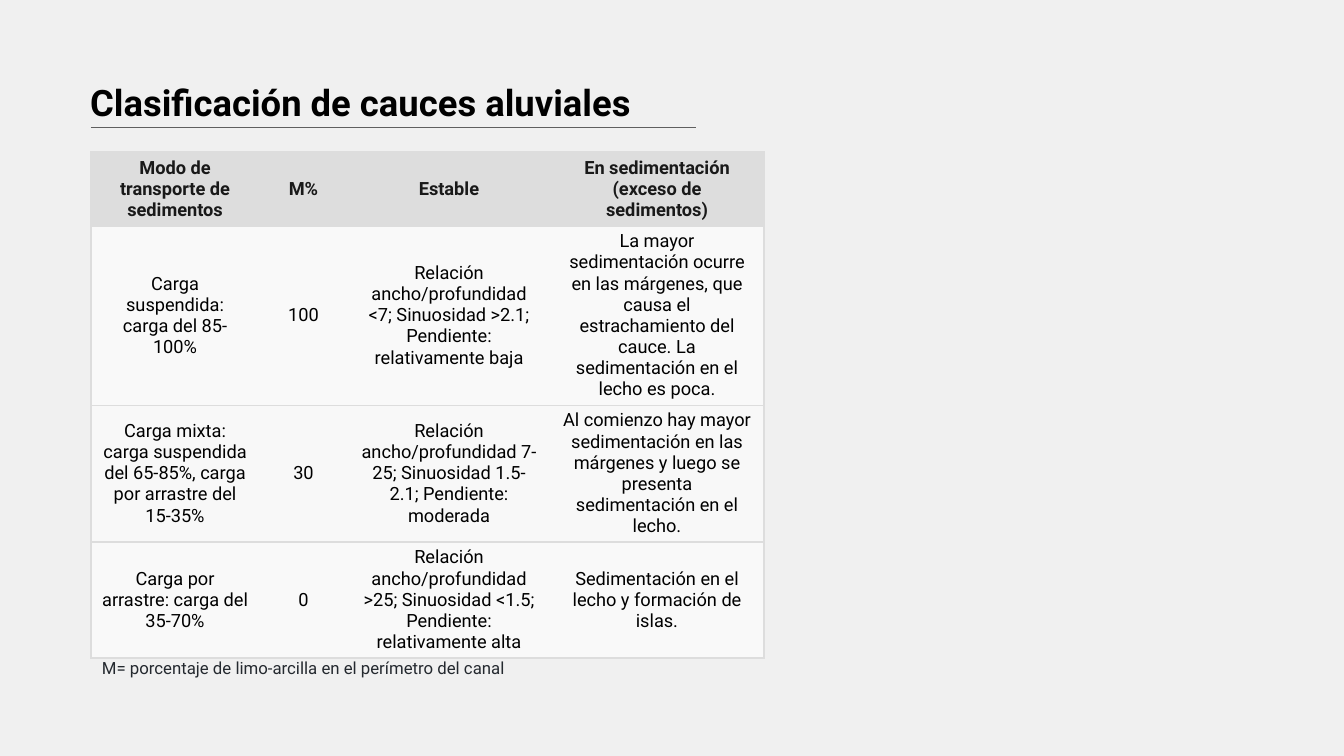
from lxml.etree import SubElement
from pptx import Presentation
from pptx.dml.color import RGBColor
from pptx.enum.shapes import MSO_CONNECTOR
from pptx.enum.text import MSO_ANCHOR, MSO_AUTO_SIZE, PP_ALIGN
from pptx.oxml.ns import qn
from pptx.util import Pt

TITLE = "Clasificación de cauces aluviales"
NOTE = "M= porcentaje de limo-arcilla en el perímetro del canal"
ROWS = [
    ("Modo de transporte de sedimentos", "M%", "Estable",
     "En sedimentación (exceso de sedimentos)"),
    ("Carga suspendida: carga del 85-100%", "100",
     "Relación ancho/profundidad <7; Sinuosidad >2.1; Pendiente: relativamente baja",
     "La mayor sedimentación ocurre en las márgenes, que causa el estrachamiento "
     "del cauce. La sedimentación en el lecho es poca."),
    ("Carga mixta: carga suspendida del 65-85%, carga por arrastre del 15-35%", "30",
     "Relación ancho/profundidad 7-25; Sinuosidad 1.5-2.1; Pendiente: moderada",
     "Al comienzo hay mayor sedimentación en las márgenes y luego se presenta "
     "sedimentación en el lecho."),
    ("Carga por arrastre: carga del 35-70%", "0",
     "Relación ancho/profundidad >25; Sinuosidad <1.5; Pendiente: relativamente alta",
     "Sedimentación en el lecho y formación de islas."),
]
WIDTHS = (168, 89, 202, 214)
HEIGHTS = (74, 167, 128, 116)
FILLS = ("head", "odd", "even", "odd")
COLORS = {"back": "F0F0F0", "title": "000000", "rule": "5F5F5F", "head": "DDDDDD",
          "odd": "F9F9F9", "even": "F8F8F8", "border": "DDDDDD",
          "label": "191919", "body": "000000", "note": "24292F"}
FONT = "Roboto"
LEFT = 91


def px(n):
    return round(n * 914400 / 100.8)


def rgb(name):
    return RGBColor.from_string(COLORS[name])


def style(par, size, color, bold=False):
    font = par.font
    font.name, font.size, font.bold = FONT, Pt(size), bold
    font.color.rgb = rgb(color)


def edge(cell, side, drawn):
    """Add one cell border, hidden unless drawn; call before the cell fill."""
    line = SubElement(cell._tc.get_or_add_tcPr(), qn("a:ln" + side), w=str(Pt(1)))
    if drawn:
        fill = SubElement(line, qn("a:solidFill"))
        SubElement(fill, qn("a:srgbClr"), val=COLORS["border"])
    else:
        SubElement(line, qn("a:noFill"))


def add_title(slide):
    title = slide.shapes.title
    title.left, title.top, title.width, title.height = map(px, (80, 80, 698, 95))
    frame = title.text_frame
    frame.text = TITLE
    frame.auto_size = MSO_AUTO_SIZE.NONE
    frame.vertical_anchor = MSO_ANCHOR.TOP
    par = frame.paragraphs[0]
    par.alignment, par.line_spacing = PP_ALIGN.LEFT, 0.9
    style(par, 26, "title", True)

    rule = slide.shapes.add_connector(
        MSO_CONNECTOR.STRAIGHT, *map(px, (LEFT, 127, 696, 127)))
    rule.line.color.rgb = rgb("rule")
    rule.line.width = Pt(0.5)
    SubElement(rule._element.spPr, qn("a:effectLst"))


def add_grid(slide):
    table = slide.shapes.add_table(
        len(ROWS), len(WIDTHS),
        *map(px, (LEFT, 152, sum(WIDTHS), sum(HEIGHTS)))).table
    for col, width in zip(table.columns, WIDTHS):
        col.width = px(width)
    last = len(WIDTHS) - 1
    for r, texts in enumerate(ROWS):
        table.rows[r].height = px(HEIGHTS[r])
        for c, text in enumerate(texts):
            cell = table.cell(r, c)
            cell.text = text
            cell.vertical_anchor = MSO_ANCHOR.MIDDLE
            cell.margin_left = cell.margin_right = px(11)
            cell.margin_top = cell.margin_bottom = px(5)
            for side, drawn in (("L", c == 0), ("R", c == last), ("T", True), ("B", True)):
                edge(cell, side, drawn)
            cell.fill.solid()
            cell.fill.fore_color.rgb = rgb(FILLS[r])
            par = cell.text_frame.paragraphs[0]
            par.alignment = PP_ALIGN.CENTER
            style(par, 13, "body" if r else "label", r == 0)


def add_note(slide):
    frame = slide.shapes.add_textbox(*map(px, (92, 653, 671, 30))).text_frame
    frame.word_wrap = True
    frame.text = NOTE
    style(frame.paragraphs[0], 12, "note")


def main():
    deck = Presentation()
    deck.slide_width, deck.slide_height = px(1344), px(756)
    slide = deck.slides.add_slide(deck.slide_layouts[5])
    slide.background.fill.solid()
    slide.background.fill.fore_color.rgb = rgb("back")
    add_title(slide)
    add_grid(slide)
    add_note(slide)
    deck.save("out.pptx")


if __name__ == "__main__":
    main()
